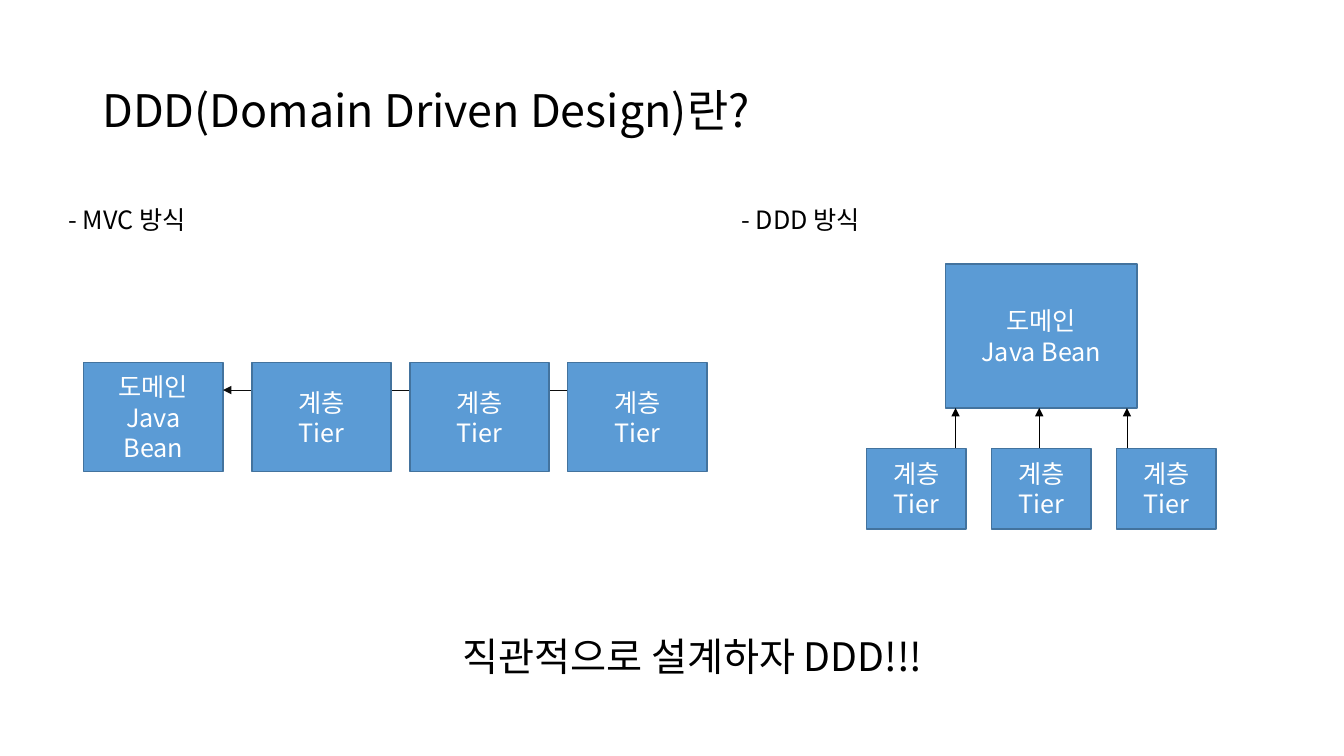
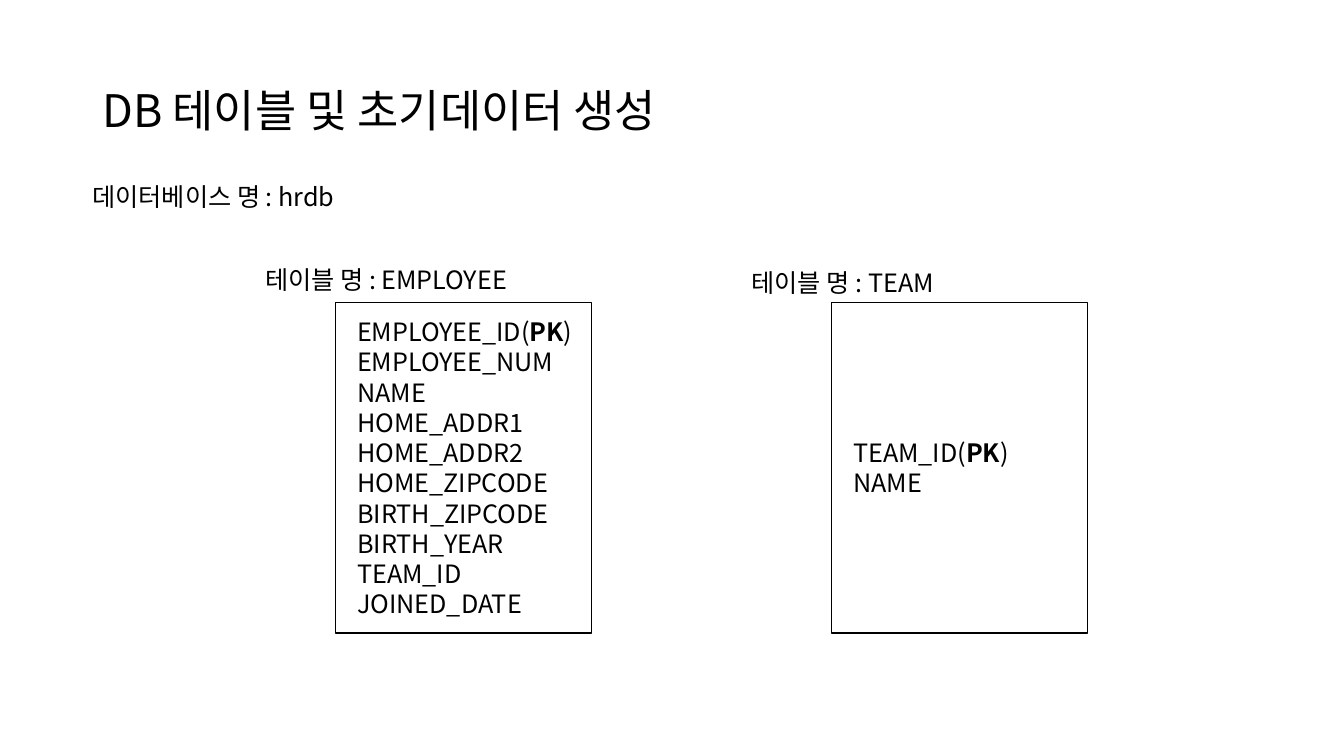
"""Build two slides: the idea of domain driven design and the database tables."""
from lxml import etree
from pptx import Presentation
from pptx.dml.color import RGBColor
from pptx.enum.shapes import MSO_CONNECTOR, MSO_SHAPE
from pptx.enum.text import MSO_ANCHOR, PP_ALIGN
from pptx.oxml.ns import qn
from pptx.util import Cm, Pt

RECTANGLE = MSO_SHAPE.RECTANGLE
STRAIGHT = MSO_CONNECTOR.STRAIGHT
TOP, MIDDLE = MSO_ANCHOR.TOP, MSO_ANCHOR.MIDDLE
LEFT, CENTER = PP_ALIGN.LEFT, PP_ALIGN.CENTER

BLACK = RGBColor(0x00, 0x00, 0x00)
NEAR_BLACK = RGBColor(0x0D, 0x0D, 0x0D)
WHITE = RGBColor(0xFF, 0xFF, 0xFF)
BLUE = RGBColor(0x5B, 0x9B, 0xD5)
DARK_BLUE = RGBColor(0x43, 0x73, 0x9E)
FONT = "Noto Sans CJK KR"

DOMAIN = ["도메인", "Java Bean"]
TIER = ["계층", "Tier"]
TIER_COUNT = 3

DESIGN_TITLE = "DDD(Domain Driven Design)란?"
DESIGN_LABELS = [
    ("- MVC 방식", (1.47, 5.03, 4.24, 1.02), 18),
    ("- DDD 방식", (18.44, 5.03, 4.24, 1.02), 18),
    ("직관적으로 설계하자 DDD!!!", (11.4, 15.82, 16.48, 1.45), 28),
]
MVC_DOMAIN = (2.11, 9.14, 3.51, 2.74)
MVC_TIER = (6.35, 9.14, 3.51, 2.74)
MVC_PITCH = 3.98
MVC_ARROW_Y = 9.83
DDD_DOMAIN = (23.83, 6.65, 4.83, 3.63)
DDD_TIER = (21.84, 11.3, 2.51, 2.03)
DDD_PITCH = 3.15
DDD_ARROW_XS = [24.08, 26.19, 28.4]

DATABASE_TITLE = "DB 테이블 및 초기데이터 생성"
DATABASE_LABELS = [
    ("데이터베이스 명 : hrdb", (2.08, 4.45, 7.59, 1.02), 18),
    ("테이블 명 : EMPLOYEE", (6.43, 6.53, 8.23, 1.02), 18),
    ("테이블 명 : TEAM", (18.69, 6.6, 8.23, 1.02), 18),
]
KEY = "PK"
TABLES = [
    (8.46, ["EMPLOYEE_ID(PK)", "EMPLOYEE_NUM", "NAME", "HOME_ADDR1", "HOME_ADDR2",
            "HOME_ZIPCODE", "BIRTH_ZIPCODE", "BIRTH_YEAR", "TEAM_ID", "JOINED_DATE"]),
    (20.96, ["TEAM_ID(PK)", "NAME"]),
]
TABLE_TOP, TABLE_WIDTH, TABLE_HEIGHT = 7.62, 6.45, 8.33
FIELD_INDENT = 0.54


def set_values(target, values):
    for name, value in values.items():
        setattr(target, name, value)


def write(shape, lines, size=18, color=BLACK, align=LEFT, anchor=TOP, spacing=1.0):
    frame = shape.text_frame
    set_values(frame, {"word_wrap": True, "vertical_anchor": anchor})
    for index, line in enumerate(lines):
        paragraph = frame.add_paragraph() if index else frame.paragraphs[0]
        set_values(paragraph, {"alignment": align, "line_spacing": spacing})
        for text in filter(None, line.partition(KEY)):
            run = paragraph.add_run()
            run.text = text
            set_values(run.font, {"name": FONT, "size": Pt(size), "bold": text == KEY})
            run.font.color.rgb = color
            east_asian = etree.SubElement(run.font._element, qn("a:ea"))
            east_asian.set("typeface", FONT)


def add_text(slide, text, box, size, **style):
    write(slide.shapes.add_textbox(*map(Cm, box)), [text], size, **style)


def add_box(slide, box, line_color, fill_color=None):
    shape = slide.shapes.add_shape(RECTANGLE, *map(Cm, box))
    shape.shadow.inherit = False
    if fill_color is None:
        shape.fill.background()
    else:
        shape.fill.solid()
        shape.fill.fore_color.rgb = fill_color
    shape.line.color.rgb = line_color
    shape.line.width = Pt(1)
    return shape


def add_block(slide, box, lines):
    shape = add_box(slide, box, DARK_BLUE, BLUE)
    write(shape, lines, color=WHITE, align=CENTER, anchor=MIDDLE)


def add_tiers(slide, first_box, pitch):
    left, *rest = first_box
    for index in range(TIER_COUNT):
        add_block(slide, (left + index * pitch, *rest), TIER)


def add_arrow(slide, start, end, color):
    arrow = slide.shapes.add_connector(STRAIGHT, *map(Cm, (*start, *end)))
    arrow.line.color.rgb = color
    arrow.line.width = Pt(0.5)
    etree.SubElement(arrow.line._get_or_add_ln(), qn("a:tailEnd")).set("type", "triangle")
    etree.SubElement(arrow._element.spPr, qn("a:effectLst"))


def add_slide(presentation, title, labels):
    slide = presentation.slides.add_slide(presentation.slide_layouts[6])
    add_text(slide, title, (2.33, 1.01, 29.21, 3.68), 32, anchor=MIDDLE, spacing=0.9)
    for text, box, size in labels:
        add_text(slide, text, box, size)
    return slide


def build_design(presentation):
    slide = add_slide(presentation, DESIGN_TITLE, DESIGN_LABELS)
    add_block(slide, MVC_DOMAIN, DOMAIN)
    last_tier_left = MVC_TIER[0] + (TIER_COUNT - 1) * MVC_PITCH
    domain_right = MVC_DOMAIN[0] + MVC_DOMAIN[2]
    add_arrow(slide, (last_tier_left, MVC_ARROW_Y), (domain_right, MVC_ARROW_Y), NEAR_BLACK)
    add_tiers(slide, MVC_TIER, MVC_PITCH)

    add_block(slide, DDD_DOMAIN, DOMAIN)
    add_tiers(slide, DDD_TIER, DDD_PITCH)
    domain_bottom = DDD_DOMAIN[1] + DDD_DOMAIN[3]
    for x in DDD_ARROW_XS:
        add_arrow(slide, (x, DDD_TIER[1]), (x, domain_bottom), BLACK)


def build_database(presentation):
    slide = add_slide(presentation, DATABASE_TITLE, DATABASE_LABELS)
    for left, fields in TABLES:
        table_box = add_box(slide, (left, TABLE_TOP, TABLE_WIDTH, TABLE_HEIGHT), BLACK)
        table_box.text_frame.margin_left = Cm(FIELD_INDENT)
        write(table_box, fields, anchor=MIDDLE)


presentation = Presentation()
set_values(presentation, {"slide_width": Cm(33.87), "slide_height": Cm(19.05)})
build_design(presentation)
build_database(presentation)
presentation.save("out.pptx")
